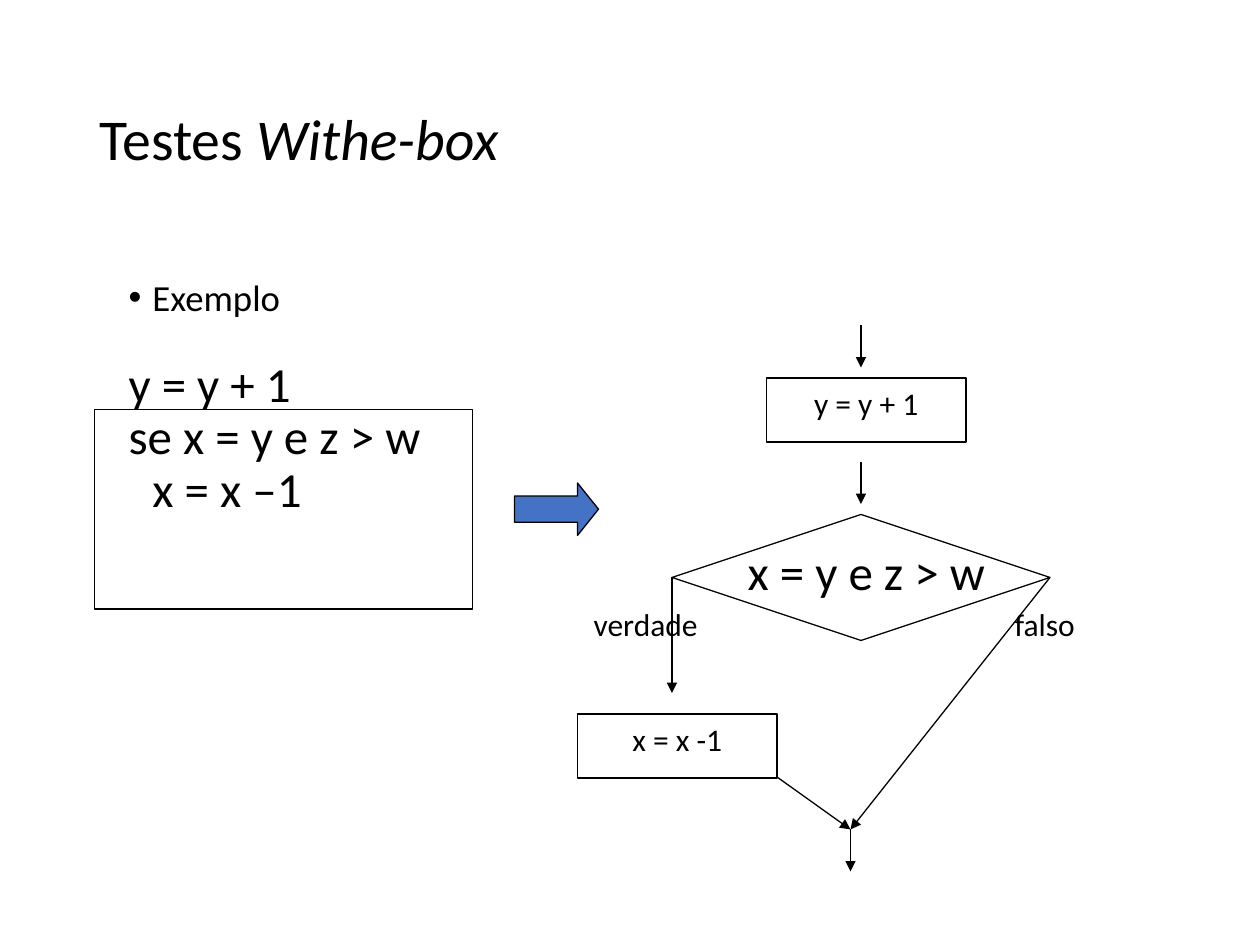
import pptx
import pptx.dml.color
import pptx.enum.shapes
import pptx.enum.text
import pptx.oxml
import pptx.oxml.ns
import pptx.util

BLACK = pptx.dml.color.RGBColor(0x00, 0x00, 0x00)
BLUE = pptx.dml.color.RGBColor(0x44, 0x72, 0xC4)
SHAPES = pptx.enum.shapes.MSO_SHAPE
ANCHOR = pptx.enum.text.MSO_ANCHOR
ALIGN = pptx.enum.text.PP_ALIGN
CELL = pptx.util.Inches(1) // 12
THIN = pptx.util.Pt(0.75)
HANG = pptx.util.Inches(0.19)


def place(box, column, row, columns=0, rows=0):
    """Turn grid cells counted from the corner of a box into lengths."""
    left, top = box
    return [round(cells * CELL) for cells in (left + column, top + row, columns, rows)]


def add_span(para, text, size, **formats):
    """Add a black Calibri span with the given font formats."""
    span = para.add_run()
    span.text = text
    values = {"name": "Calibri", "size": pptx.util.Pt(size), **formats}
    for name, value in values.items():
        setattr(span.font, name, value)
    span.font.color.rgb = BLACK


def set_label(shape, text, size):
    """Write one centred line at the top of a shape."""
    frame = shape.text_frame
    formats = {"word_wrap": True, "vertical_anchor": ANCHOR.TOP}
    for name, value in formats.items():
        setattr(frame, name, value)
    para = frame.paragraphs[0]
    para.alignment = ALIGN.CENTER
    add_span(para, text, size)


def add_outline(page, kind, bounds, fill=None):
    """Add a thinly outlined shape, filled only when a colour is given."""
    shape = page.shapes.add_shape(kind, *bounds)
    shape.shadow.inherit = False
    shape.line.color.rgb = BLACK
    shape.line.width = THIN
    if fill is None:
        shape.fill.background()
    else:
        shape.fill.solid()
        shape.fill.fore_color.rgb = fill
    return shape


def add_arrow(page, box, start, end):
    """Add a straight arrow between two grid points of a box."""
    points = place(box, *start)[:2] + place(box, *end)[:2]
    arrow = page.shapes.add_connector(pptx.enum.shapes.MSO_CONNECTOR.STRAIGHT, *points)
    arrow.line.color.rgb = BLACK
    arrow.line.width = THIN
    head = pptx.oxml.parse_xml(
        f'<a:tailEnd {pptx.oxml.ns.nsdecls("a")} type="triangle"/>')
    arrow.line._get_or_add_ln().append(head)
    effects = pptx.oxml.parse_xml(f'<a:effectLst {pptx.oxml.ns.nsdecls("a")}/>')
    arrow._element.spPr.append(effects)
    return arrow


def move(shape, left, top, width, height):
    """Move a placeholder to a place given in inches."""
    bounds = {"left": left, "top": top, "width": width, "height": height}
    for name, value in bounds.items():
        setattr(shape, name, pptx.util.Inches(value))
    shape.text_frame.auto_size = pptx.enum.text.MSO_AUTO_SIZE.NONE
    shape.text_frame.word_wrap = True


def fill_title(title):
    """Write the heading in the title placeholder."""
    move(title, 0.69, 0.4, 8.62, 1.45)
    title.text_frame.vertical_anchor = ANCHOR.MIDDLE
    para = title.text_frame.paragraphs[0]
    para.alignment = ALIGN.LEFT
    para.line_spacing = 0.9
    add_span(para, "Testes ", 33)
    add_span(para, "Withe-box", 33, italic=True)


def fill_body(body):
    """Write the bullet and the lines of code in the body placeholder."""
    move(body, 0.92, 2.17, 8.5, 4.5)
    lines = [
        ("Exemplo", 21, "•", -HANG, 0),
        ("y = y + 1", 28, None, -HANG, 23),
        ("se x = y e z > w", 28, None, -HANG, 0),
        ("x = x –1", 28, None, 0, 0),
    ]
    frame = body.text_frame
    for index, (text, size, bullet, indent, before) in enumerate(lines):
        para = frame.add_paragraph() if index else frame.paragraphs[0]
        formats = {"line_spacing": 0.9, "space_before": pptx.util.Pt(before),
                   "space_after": pptx.util.Pt(0), "alignment": ALIGN.LEFT}
        for name, value in formats.items():
            setattr(para, name, value)
        properties = para._p.get_or_add_pPr()
        properties.set("marL", str(HANG))
        properties.set("indent", str(indent))
        mark = f'buChar char="{bullet}"' if bullet else "buNone"
        tag, _, attributes = mark.partition(" ")
        properties.append(pptx.oxml.parse_xml(
            f'<a:{tag} {pptx.oxml.ns.nsdecls("a")} {attributes}/>'))
        add_span(para, text, size)


def draw_code_frame(page, box):
    """Draw the frame of the code and the block arrow beside it."""
    add_outline(page, SHAPES.RECTANGLE, place(box, 0, 0, 36, 19))
    block = add_outline(page, SHAPES.RIGHT_ARROW, place(box, 40, 7, 8, 5), BLUE)
    block.adjustments[0] = 0.5
    block.adjustments[1] = 0.4


def draw_flowchart(page, box):
    """Draw the steps, the decision and the arrows of the flowchart."""
    for text, column, row in (("y = y + 1", 20, 5), ("x = x -1", 2, 37)):
        step = add_outline(page, SHAPES.RECTANGLE, place(box, column, row, 19, 6.1))
        set_label(step, text, 18)
    decision = add_outline(page, SHAPES.DIAMOND, place(box, 11, 18, 36, 12))
    labels = [
        ("x = y e z > w", 28, (15, 20, 29, 6.8)),
        ("verdade", 18, (0, 26, 17, 6)),
        ("falso", 18, (38, 26, 17, 6)),
    ]
    for text, size, cells in labels:
        set_label(page.shapes.add_textbox(*place(box, *cells)), text, size)
    join = (28, 48)
    arrows = [
        ((29, 0), (29, 4), None),
        ((29, 13), (29, 17), None),
        ((11, 24), (11, 35), 1),
        ((21, 43), join, None),
        ((47, 24), join, 3),
        (join, (28, 52), None),
    ]
    for start, end, side in arrows:
        arrow = add_arrow(page, box, start, end)
        if side is not None:
            arrow.begin_connect(decision, side)


def main():
    """Build the slide and save the deck."""
    deck = pptx.Presentation()
    deck.slide_width = pptx.util.Inches(10)
    deck.slide_height = pptx.util.Inches(7.5)
    page = deck.slides.add_slide(deck.slide_layouts[1])
    fill_title(page.shapes.title)
    fill_body(page.placeholders[1])
    draw_code_frame(page, (9, 39))
    draw_flowchart(page, (53, 31))
    deck.save("out.pptx")


if __name__ == "__main__":
    main()
